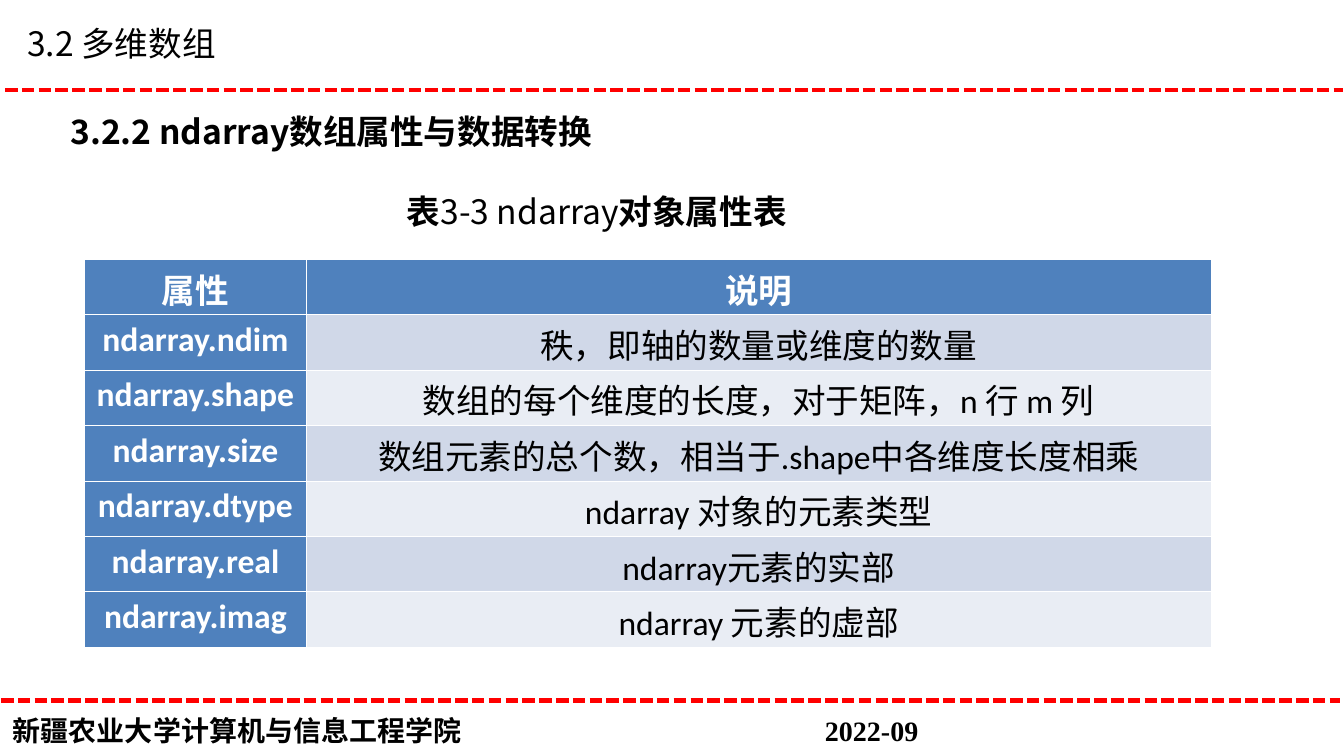
from dataclasses import dataclass

from lxml import etree
from pptx import Presentation
from pptx import util as u
from pptx.dml.color import RGBColor
from pptx.enum import dml, shapes, text
from pptx.oxml.ns import qn

TITLE = "3.2 多维数组"
SECTION = "3.2.2 ndarray数组属性与数据转换"
CAPTION = [("表", True), ("3-3 ndarray", False), ("对象属性表", True)]
SCHOOL, DATE = "新疆农业大学计算机与信息工程学院", "2022-09"
ATTRIBUTES = [
    ("属性", "说明"),
    ("ndarray.ndim", "秩，即轴的数量或维度的数量"),
    ("ndarray.shape", "数组的每个维度的长度，对于矩阵，n 行 m 列"),
    ("ndarray.size", "数组元素的总个数，相当于.shape中各维度长度相乘"),
    ("ndarray.dtype", "ndarray 对象的元素类型"),
    ("ndarray.real", "ndarray元素的实部"),
    ("ndarray.imag", "ndarray 元素的虚部"),
]
COLUMN_WIDTHS = [2.2, 8.98]
ROW_HEIGHT = 0.55
RULES = [(0.05, 13.33, 0.89), (0.01, 13.3, 6.95)]


@dataclass(frozen=True)
class Theme:
    ink: str = "000000"
    white: str = "FFFFFF"
    rule: str = "FF0000"
    header: str = "4F81BD"
    bands: tuple = ("D0D8E8", "E9EDF4")
    body_size: int = 24
    footer_size: int = 20
    cjk: str = "Noto Sans CJK SC"
    table_font: str = "Calibri"
    footer_font: str = "Times New Roman"


THEME = Theme()


def set_font(para, name=THEME.cjk, size=THEME.body_size, color=THEME.ink, bold=None):
    """Format a whole paragraph, with the Chinese font for East Asian letters."""
    font = para.font
    font.name, font.size, font.bold = name, u.Pt(size), bold
    font.color.rgb = RGBColor.from_string(color)
    properties = para._p.pPr.find(qn("a:defRPr"))
    etree.SubElement(properties, qn("a:ea"), typeface=THEME.cjk)


def fill_heading(box, wording, bold):
    frame = box.text_frame
    frame.word_wrap = True
    frame.vertical_anchor = text.MSO_ANCHOR.TOP
    frame.auto_size = text.MSO_AUTO_SIZE.NONE
    para = frame.paragraphs[0]
    para.text = wording
    para.alignment = text.PP_ALIGN.LEFT
    para.line_spacing = u.Pt(16)
    set_font(para, bold=bold)


def add_box(page, left, top, width, height):
    box = page.shapes.add_textbox(*map(u.Inches, (left, top, width, height)))
    box.text_frame.word_wrap = True
    return box


def add_rule(page, left, right, top):
    rule = page.shapes.add_connector(
        shapes.MSO_CONNECTOR.STRAIGHT, *map(u.Inches, (left, top, right, top)))
    rule.line.color.rgb = RGBColor.from_string(THEME.rule)
    rule.line.width = u.Pt(3)
    rule.line.dash_style = dml.MSO_LINE.SQUARE_DOT
    etree.SubElement(rule._element.spPr, qn("a:effectLst"))


def set_borders(cell, row):
    """Draw white cell edges, heavier between the header and the body."""
    properties = cell._tc.get_or_add_tcPr()
    heavy = {0: "lnB", 1: "lnT"}.get(row)
    for index, side in enumerate(("lnL", "lnR", "lnT", "lnB")):
        width = u.Pt(1.47 if side == heavy else 0.45)
        edge = etree.Element(qn(f"a:{side}"), w=str(width))
        paint = etree.SubElement(edge, qn("a:solidFill"))
        etree.SubElement(paint, qn("a:srgbClr"), val=THEME.white)
        properties.insert(index, edge)


def add_attribute_table(page):
    frame = page.shapes.add_table(
        len(ATTRIBUTES), len(COLUMN_WIDTHS), u.Inches(0.84), u.Inches(2.57),
        u.Inches(sum(COLUMN_WIDTHS)), u.Inches(ROW_HEIGHT * len(ATTRIBUTES)))
    table = frame.table
    for column, width in zip(table.columns, COLUMN_WIDTHS):
        column.width = u.Inches(width)
    for row, entries in enumerate(ATTRIBUTES):
        table.rows[row].height = u.Inches(ROW_HEIGHT)
        for column, wording in enumerate(entries):
            cell = table.cell(row, column)
            heading = row == 0 or column == 0
            fill = THEME.header if heading else THEME.bands[(row - 1) % 2]
            cell.fill.solid()
            cell.fill.fore_color.rgb = RGBColor.from_string(fill)
            cell.margin_left = cell.margin_right = u.Inches(0.05)
            para = cell.text_frame.paragraphs[0]
            para.text = wording
            para.alignment = text.PP_ALIGN.CENTER
            set_font(para, THEME.table_font, bold=heading,
                     color=THEME.white if heading else THEME.ink)
            set_borders(cell, row)


def add_caption(page):
    frame = add_box(page, 3.94, 1.84, 5.21, 0.5).text_frame
    frame.vertical_anchor = text.MSO_ANCHOR.MIDDLE
    para = frame.paragraphs[0]
    for wording, bold in CAPTION:
        span = para.add_run()
        span.text = wording
        span.font.bold = bold
    set_font(para)


def add_footer(page):
    para = add_box(page, 0.03, 7.03, 13.26, 0.44).text_frame.paragraphs[0]
    para.text = f"{SCHOOL}\t{DATE}"
    tabs = etree.SubElement(para._p.get_or_add_pPr(), qn("a:tabLst"))
    etree.SubElement(tabs, qn("a:tab"), pos=str(u.Inches(8.06)), algn="l")
    set_font(para, THEME.footer_font, THEME.footer_size, bold=True)


def main():
    deck = Presentation()
    deck.slide_width, deck.slide_height = u.Inches(13.34), u.Inches(7.5)
    page = deck.slides.add_slide(deck.slide_layouts[5])
    title = page.shapes.title
    title.left, title.top = u.Inches(0.17), u.Inches(0.36)
    title.width, title.height = u.Inches(6.71), u.Inches(0.32)
    fill_heading(title, TITLE, bold=False)
    for rule in RULES:
        add_rule(page, *rule)
    fill_heading(add_box(page, 0.6, 1.23, 6.71, 0.32), SECTION, bold=True)
    add_caption(page)
    add_attribute_table(page)
    add_footer(page)
    deck.save("out.pptx")


if __name__ == "__main__":
    main()
